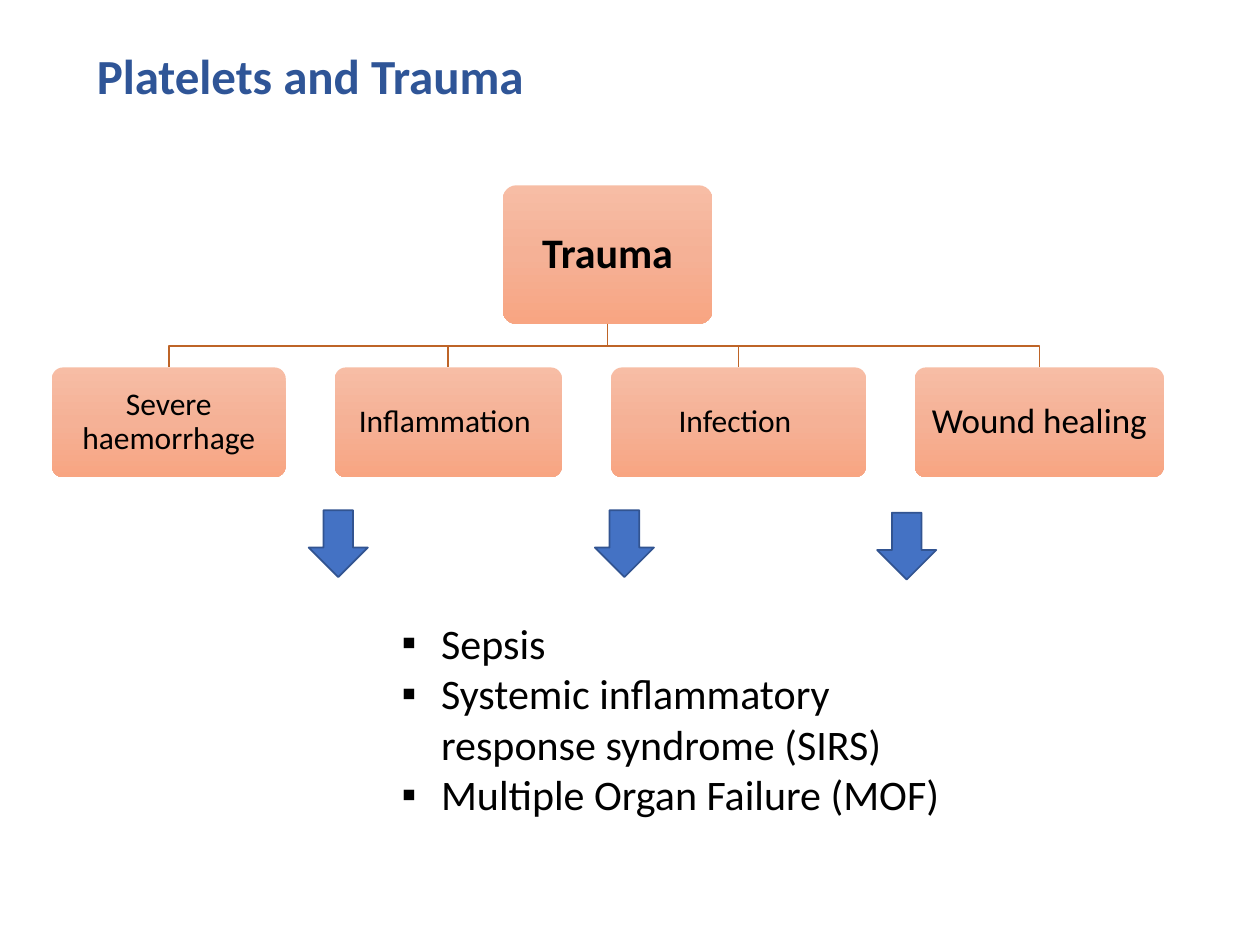
import copy
import pptx
import pptx.util
import pptx.dml.color
import pptx.enum.shapes
import pptx.enum.text
import pptx.oxml.ns
import lxml.etree

Pt = pptx.util.Pt
SHAPES = pptx.enum.shapes.MSO_SHAPE
MIDDLE = pptx.enum.text.MSO_ANCHOR.MIDDLE
CENTER = pptx.enum.text.PP_ALIGN.CENTER
qn = pptx.oxml.ns.qn


def color(value):
    return pptx.dml.color.RGBColor.from_string(value)


def set_font(paragraph, size, value, bold=False):
    paragraph.font.name = "Calibri"
    paragraph.font.size = Pt(size)
    paragraph.font.bold = bold
    paragraph.font.color.rgb = color(value)


presentation = pptx.Presentation()
presentation.slide_width = Pt(720)
presentation.slide_height = Pt(540)
slide = presentation.slides.add_slide(presentation.slide_layouts[6])

title = slide.shapes.add_textbox(Pt(48.24), Pt(0), Pt(612), Pt(90))
title.text_frame.word_wrap = True
title.text_frame.vertical_anchor = MIDDLE
paragraph = title.text_frame.paragraphs[0]
paragraph.text = "Platelets and Trauma"
paragraph.line_spacing = 0.9
set_font(paragraph, 28, "2F5597", True)

root_center, root_bottom, child_top = 347.2, 185.1, 210
bar_y = (root_bottom + child_top) / 2
child_height = 62.7
boxes = [
    ("Trauma", 287.2, 105.9, 120, root_bottom - 105.9, 24, 9.4),
    ("Severe haemorrhage", 29.7, child_top, 133.5, child_height, 18, 6.8),
    ("Inflammation ", 191.3, child_top, 129.8, child_height, 18, 6.8),
    ("Infection ", 349.2, child_top, 145.7, child_height, 18, 6.8),
    ("Wound healing ", 522.8, child_top, 142.3, child_height, 20, 7.4),
]
for text, left, top, width, height, size, inset in boxes:
    is_root = text == "Trauma"
    if not is_root:
        center = left + width / 2
        builder = slide.shapes.build_freeform(Pt(root_center), Pt(root_bottom))
        corners = [(root_center, bar_y), (center, bar_y), (center, child_top)]
        builder.add_line_segments([(Pt(x), Pt(y)) for x, y in corners], close=False)
        branch = builder.convert_to_shape()
        branch.shadow.inherit = False
        branch.fill.background()
        branch.line.color.rgb = color("BE6427")
        branch.line.width = Pt(1)

    box = slide.shapes.add_shape(SHAPES.ROUNDED_RECTANGLE, Pt(left), Pt(top), Pt(width), Pt(height))
    box.adjustments[0] = 0.1
    box.shadow.inherit = False
    box.line.fill.background()
    box.fill.gradient()
    box.fill.gradient_angle = 270
    stop_list = box.element.spPr.find(".//" + qn("a:gsLst"))
    stop_list.insert(1, copy.deepcopy(stop_list[0]))
    stops = zip(box.fill.gradient_stops, (0, 0.5, 1), ("F7BDA5", "F5B196", "F8A582"))
    for stop, position, value in stops:
        stop.position = position
        stop.color.rgb = color(value)

    frame = box.text_frame
    frame.word_wrap = True
    frame.vertical_anchor = MIDDLE
    frame.margin_left = frame.margin_right = Pt(inset)
    frame.margin_top = frame.margin_bottom = Pt(inset)
    paragraph = frame.paragraphs[0]
    paragraph.text = text
    paragraph.alignment = CENTER
    paragraph.line_spacing = 0.9
    set_font(paragraph, size, "000000", is_root)

outcomes = slide.shapes.add_textbox(Pt(222.5), Pt(349.2), Pt(326.2), Pt(145.4))
frame = outcomes.text_frame
frame.word_wrap = True
items = ["Sepsis", "Systemic inflammatory response syndrome (SIRS)", "Multiple Organ Failure (MOF)"]
for index, item in enumerate(items):
    paragraph = frame.add_paragraph() if index else frame.paragraphs[0]
    paragraph.text = item
    properties = paragraph._p.get_or_add_pPr()
    properties.set("marL", str(Pt(22.5)))
    properties.set("indent", str(-Pt(22.5)))
    lxml.etree.SubElement(properties, qn("a:buFont"), typeface="Arial")
    lxml.etree.SubElement(properties, qn("a:buChar"), char="▪")
    set_font(paragraph, 24, "000000")

for left, top in [(174.2, 293.8), (337.7, 293.8), (499, 295.2)]:
    arrow = slide.shapes.add_shape(SHAPES.RIGHT_ARROW, Pt(left), Pt(top), Pt(38.2), Pt(33.8))
    arrow.rotation = 90
    arrow.shadow.inherit = False
    arrow.fill.solid()
    arrow.fill.fore_color.rgb = color("4472C4")
    arrow.line.color.rgb = color("325491")
    arrow.line.width = Pt(1)

presentation.save("out.pptx")
